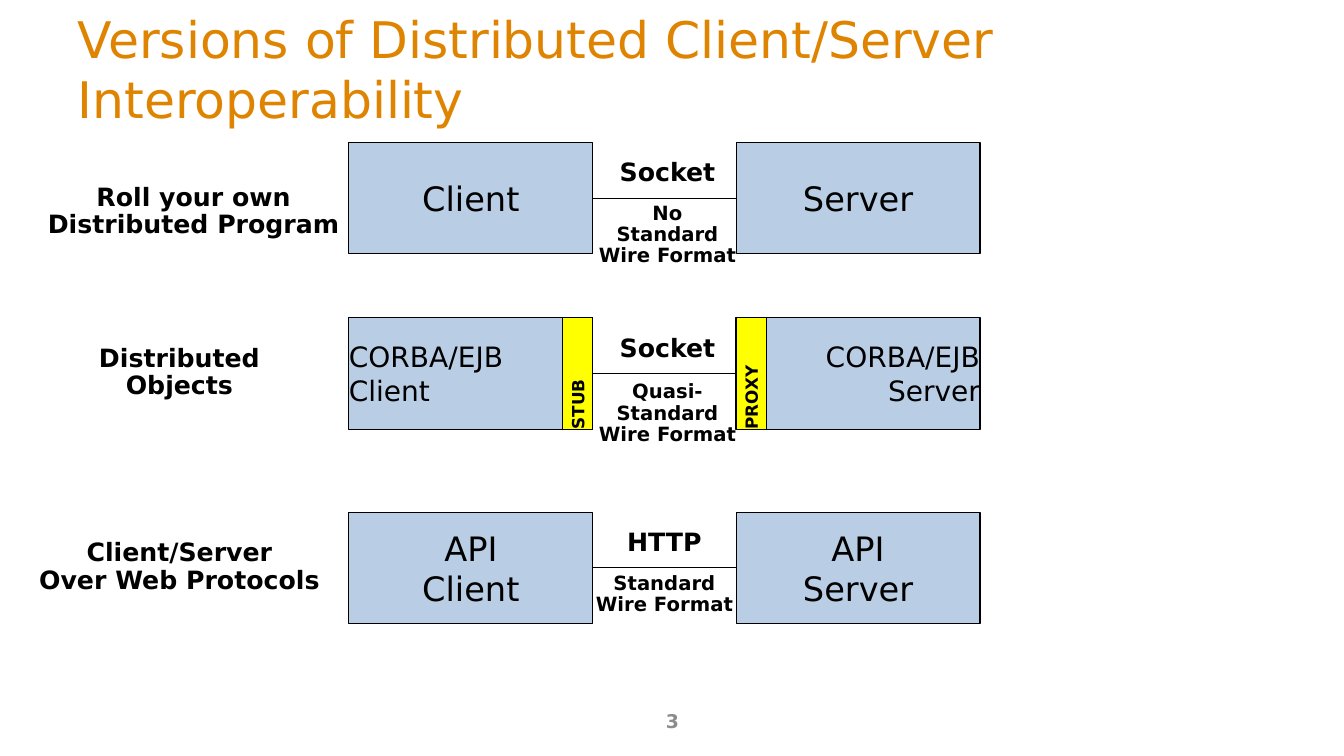
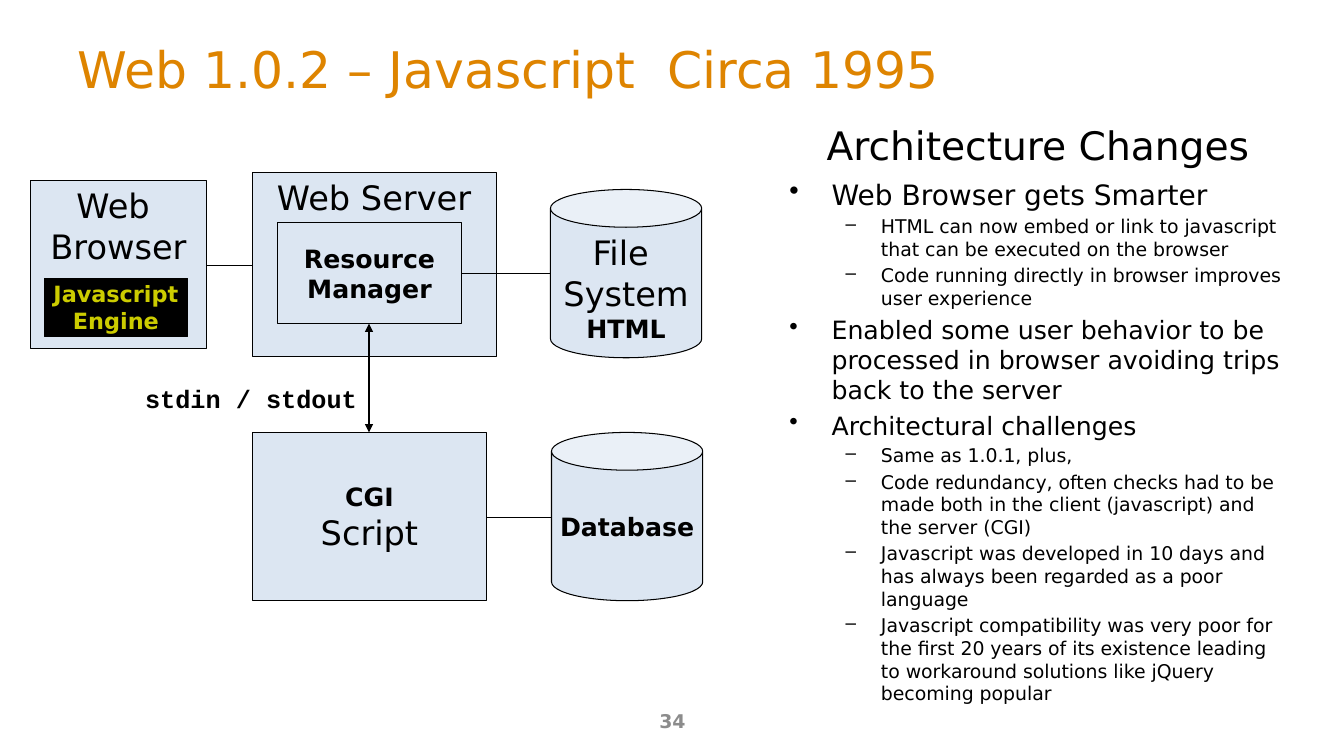
"""Build two slides on client/server links and early web design."""
from collections import namedtuple
from dataclasses import dataclass

from lxml import etree
from pptx import Presentation
from pptx.dml.color import RGBColor
from pptx.enum.shapes import MSO_CONNECTOR, MSO_SHAPE
from pptx.enum.text import MSO_ANCHOR, MSO_AUTO_SIZE, PP_ALIGN
from pptx.oxml.ns import qn
from pptx.util import Inches, Pt

RECT, CAN = MSO_SHAPE.RECTANGLE, MSO_SHAPE.CAN
STRAIGHT = MSO_CONNECTOR.STRAIGHT
LEFT, MID, RIGHT = PP_ALIGN.LEFT, PP_ALIGN.CENTER, PP_ALIGN.RIGHT
TOP, CENTER = MSO_ANCHOR.TOP, MSO_ANCHOR.MIDDLE

Style = namedtuple("Style", "size bold color font", defaults=(False, "000000", "DejaVu Sans"))


@dataclass(frozen=True)
class Theme:
    """Hold the colours and type styles."""
    line: str = "000000"
    box: str = "B9CDE5"
    pale: str = "DCE6F2"
    tab: str = "FFFF00"
    dark: str = "000000"
    title: Style = Style(36, color="DE8400")
    page: Style = Style(13.5, True, "8C8C8C")
    head: Style = Style(28)
    big: Style = Style(24)
    mid: Style = Style(20)
    text: Style = Style(18)
    small: Style = Style(13.5)
    bold: Style = Style(18, True)
    note: Style = Style(14, True)
    tag: Style = Style(12, True)
    glow: Style = Style(16, True, "CCCC00")
    code: Style = Style(18, True, font="Courier New")


T = Theme()

TITLES = [("Versions of Distributed Client/Server Interoperability", "3"),
          ("Web 1.0.2 – Javascript  Circa 1995", "34")]

ROWS = [
    dict(top=1.41, name="Roll your own\nDistributed Program", name_at=(1.92, 1.78),
         ends=("Client", "Server"), style=T.big, sides=(MID, MID), tags=(),
         link="Socket", note="No\nStandard\nWire Format", mid=6.62, note_top=1.97),
    dict(top=3.15, name="Distributed\nObjects", name_at=(1.78, 3.38),
         ends=("CORBA/EJB\nClient", "CORBA/EJB\nServer"), style=T.mid,
         sides=(LEFT, RIGHT), tags=("STUB", "PROXY"),
         link="Socket", note="Quasi-\nStandard\nWire Format", mid=6.62, note_top=3.74),
    dict(top=5.08, name="Client/Server\nOver Web Protocols", name_at=(1.78, 5.31),
         ends=("API\nClient", "API\nServer"), style=T.big, sides=(MID, MID), tags=(),
         link="HTTP", note="Standard\nWire Format", mid=6.59, note_top=5.64),
]
END_X, END_W, END_H = (3.46, 7.3), 2.42, 1.11
TAG_MID, TAG_H = (5.73, 7.45), 0.3

PARTS = [
    (RECT, (0.3, 1.79, 1.75, 1.67), T.pale, TOP, [("Web \nBrowser", T.big)]),
    (CAN, (5.46, 1.88, 1.5, 1.67), T.pale, TOP, [("File \nSystem", T.big), ("HTML", T.bold)]),
    (RECT, (2.5, 1.71, 2.42, 1.83), T.pale, TOP, [("Web Server", T.big)]),
    (RECT, (2.75, 2.21, 1.83, 1), T.pale, CENTER, [("Resource\nManager", T.bold)]),
    (CAN, (5.47, 4.29, 1.5, 1.67), T.pale, CENTER, [("Database", T.bold)]),
    (RECT, (2.5, 4.29, 2.33, 1.67), T.pale, CENTER, [("CGI", T.bold), ("Script", T.big)]),
    (RECT, (0.44, 2.76, 1.42, 0.58), T.dark, CENTER, [("Javascript\nEngine", T.glow)]),
]
LINKS = [
    ((2.05, 2.63, 2.5, 2.63), False),
    ((4.58, 2.71, 5.46, 2.71), False),
    ((3.66, 3.21, 3.66, 4.29), True),
    ((4.83, 5.13, 5.47, 5.13), False),
]
POINTS = [
    (0, T.mid, "Web Browser gets Smarter"),
    (1, T.small, "HTML can now embed or link to javascript that can be executed on the browser"),
    (1, T.small, "Code running directly in browser improves user experience"),
    (0, T.text, "Enabled some user behavior to be processed in browser avoiding trips back to "
                "the server"),
    (0, T.text, "Architectural challenges"),
    (1, T.small, "Same as 1.0.1, plus,"),
    (1, T.small, "Code redundancy, often checks had to be made both in the client (javascript) "
                 "and the server (CGI)"),
    (1, T.small, "Javascript was developed in 10 days and has always been regarded as a poor "
                 "language"),
    (1, T.small, "Javascript compatibility was very poor for the first 20 years of its existence "
                 "leading to workaround solutions like jQuery becoming popular"),
]
LEVELS = [("•", 0.42, -0.42), ("–", 0.91, -0.35)]


def rgb(code):
    """Turn a hex code into a colour."""
    return RGBColor.from_string(code)


def place(at):
    """Turn inches into lengths."""
    return [Inches(n) for n in at]


def dress(para, style):
    """Format the runs of a paragraph."""
    for run in para.runs:
        font = run.font
        font.size, font.bold, font.name = Pt(style.size), style.bold, style.font
        font.color.rgb = rgb(style.color)


def write(frame, blocks, align=MID, anchor=CENTER, space=None, wrap=False):
    """Fill a frame with styled lines."""
    lines = [(line, style) for text, style in blocks for line in text.split("\n")]
    frame.text = "\n".join(line for line, _ in lines)
    frame.word_wrap, frame.vertical_anchor = wrap, anchor
    frame.auto_size = MSO_AUTO_SIZE.NONE
    for para, (_, style) in zip(frame.paragraphs, lines):
        para.alignment = align
        if space:
            para.line_spacing = space
        dress(para, style)


def label(slide, at, text, style, align=MID):
    """Add a free text label."""
    box = slide.shapes.add_textbox(*place(at))
    write(box.text_frame, [(text, style)], align, TOP, 0.9)


def block(slide, kind, at, fill, blocks, align=MID, anchor=CENTER):
    """Add a filled shape with text."""
    shape = slide.shapes.add_shape(kind, *place(at))
    shape.shadow.inherit = False
    shape.fill.solid()
    shape.fill.fore_color.rgb = rgb(fill)
    shape.line.color.rgb = rgb(T.line)
    shape.line.width = Pt(0.75)
    write(shape.text_frame, blocks, align, anchor)
    return shape


def flush(shape):
    """Drop the side insets of a shape."""
    shape.text_frame.margin_left = shape.text_frame.margin_right = 0


def link(slide, ends, arrows=False):
    """Join two points with a line."""
    wire = slide.shapes.add_connector(STRAIGHT, *place(ends))
    wire.line.color.rgb = rgb(T.line)
    wire.line.width = Pt(0.75)
    props = wire._element.spPr
    if arrows:
        for tip in ("a:headEnd", "a:tailEnd"):
            etree.SubElement(props.find(qn("a:ln")), qn(tip), type="triangle")
    etree.SubElement(props, qn("a:effectLst"))


def start(deck, title, page):
    """Add a slide with its title and page number."""
    slide = deck.slides.add_slide(deck.slide_layouts[5])
    head = slide.shapes.title
    head.left, head.top, head.width, head.height = place((0.67, 0.3, 12, 0.76))
    write(head.text_frame, [(title, T.title)], LEFT, wrap=True)
    foot = slide.shapes.add_textbox(*place((4.56, 6.95, 4.22, 0.4)))
    write(foot.text_frame, [(page, T.page)], wrap=True)
    return slide


def draw_row(slide, row):
    """Draw one client/server pair."""
    top, mid = row["top"], row["mid"]
    for x, text, side in zip(END_X, row["ends"], row["sides"]):
        end = block(slide, RECT, (x, top, END_W, END_H), T.box, [(text, row["style"])], side)
        if side != MID:
            flush(end)
    half = top + END_H / 2
    link(slide, (END_X[0] + END_W, half, END_X[1], half))
    for x, text in zip(TAG_MID, row["tags"]):
        at = (x - END_H / 2, half - TAG_H / 2, END_H, TAG_H)
        tag = block(slide, RECT, at, T.tab, [(text, T.tag)], LEFT)
        tag.rotation = 270
        flush(tag)
    label(slide, (mid - 0.58, top + 0.13, 1.16, 0.37), row["link"], T.bold)
    label(slide, (mid - 0.79, row["note_top"], 1.58, 0.74), row["note"], T.note)
    x, y = row["name_at"]
    label(slide, (x - 1.55, y, 3.1, 0.65), row["name"], T.bold)


def draw_points(slide):
    """Add the bulleted list."""
    frame = slide.shapes.add_textbox(*place((7.73, 1.71, 5.16, 5.45))).text_frame
    frame.word_wrap = True
    frame.text = "\n".join(text for _, _, text in POINTS)
    for i, (para, (level, style, _)) in enumerate(zip(frame.paragraphs, POINTS)):
        mark, left, hang = LEVELS[level]
        props = para._p.get_or_add_pPr()
        props.set("marL", str(Inches(left)))
        props.set("indent", str(Inches(hang)))
        etree.SubElement(props, qn("a:buChar"), char=mark)
        para.level = level
        if i:
            para.space_before = Pt(style.size * 0.2)
        dress(para, style)


def main():
    """Build and save the deck."""
    deck = Presentation()
    deck.slide_width, deck.slide_height = place((13.33, 7.5))
    pairs, web = [start(deck, *title) for title in TITLES]
    for row in ROWS:
        draw_row(pairs, row)
    for kind, at, fill, anchor, blocks in PARTS:
        block(web, kind, at, fill, blocks, anchor=anchor)
    for ends, arrows in LINKS:
        link(web, ends, arrows)
    label(web, (1.34, 3.79, 2.32, 0.4), "stdin / stdout", T.code, LEFT)
    label(web, (8.1, 1.21, 4.43, 0.53), "Architecture Changes", T.head, LEFT)
    draw_points(web)
    deck.save("out.pptx")


if __name__ == "__main__":
    main()
